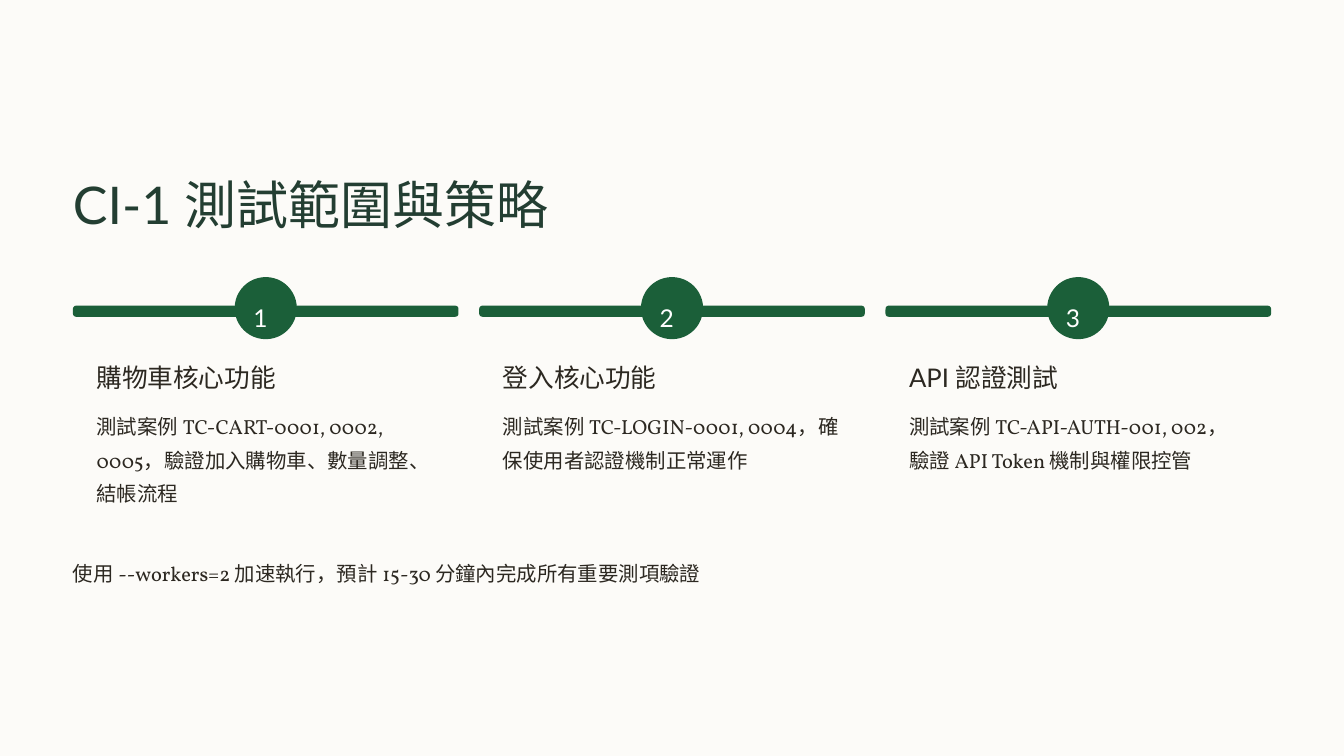
"""Build a slide that shows the CI-1 test scope as three numbered steps."""
import pptx
import pptx.dml.color
import pptx.enum.shapes
import pptx.enum.text
import pptx.util

Pt = pptx.util.Pt
RGBColor = pptx.dml.color.RGBColor
SHAPE = pptx.enum.shapes.MSO_SHAPE
TEXT = pptx.enum.text

CREAM = RGBColor(0xFC, 0xFB, 0xF8)
GREEN = RGBColor(0x1B, 0x5F, 0x39)
PINE = RGBColor(0x23, 0x3E, 0x32)
INK = RGBColor(0x2C, 0x28, 0x21)
WHITE = RGBColor(0xFF, 0xFF, 0xFF)

LEFT = 62.5
WIDTH = 330.5
PITCH = 348.25
INSET = 20.25
DOT = 53.25

STEPS = [
    ("購物車核心功能",
     "測試案例 TC-CART-0001, 0002, 0005，驗證加入購物車、數量調整、結帳流程"),
    ("登入核心功能",
     "測試案例 TC-LOGIN-0001, 0004，確保使用者認證機制正常運作"),
    ("API 認證測試",
     "測試案例 TC-API-AUTH-001, 002，驗證 API Token 機制與權限控管"),
]
NOTE = "使用 --workers=2 加速執行，預計 15-30 分鐘內完成所有重要測項驗證"


def place(shape, x, y, width, height):
    shape.left, shape.top = Pt(x), Pt(y)
    shape.width, shape.height = Pt(width), Pt(height)


def write(shape, text, size, lead, color, font="Lato"):
    frame = shape.text_frame
    frame.text = text
    frame.word_wrap = True
    frame.auto_size = TEXT.MSO_AUTO_SIZE.NONE
    frame.vertical_anchor = TEXT.MSO_ANCHOR.TOP
    frame.margin_left = frame.margin_right = 0
    frame.margin_top = frame.margin_bottom = 0
    line = frame.paragraphs[0]
    line.alignment = TEXT.PP_ALIGN.LEFT
    line.line_spacing = Pt(lead)
    style = line.runs[0].font
    style.name = font
    style.size = Pt(size)
    style.color.rgb = color


def add_text(slide, box, *style):
    write(slide.shapes.add_textbox(*map(Pt, box)), *style)


def add_solid(slide, kind, *box):
    shape = slide.shapes.add_shape(kind, *map(Pt, box))
    shape.shadow.inherit = False
    shape.fill.solid()
    shape.fill.fore_color.rgb = GREEN
    shape.line.fill.background()
    return shape


def add_step(slide, index, head, body):
    x = LEFT + index * PITCH
    dot = x + (WIDTH - DOT) / 2
    bar = add_solid(slide, SHAPE.ROUNDED_RECTANGLE, x, 262, WIDTH, 9.5)
    bar.adjustments[0] = 0.28
    add_solid(slide, SHAPE.OVAL, dot, 237.5, DOT, DOT)
    add_text(slide, (dot + 16, 250.5, 21.5, 26.5),
             str(index + 1), 21, 34, WHITE)
    add_text(slide, (x + INSET, 309, 223, 28), head, 22, 27.5, INK)
    add_text(slide, (x + INSET, 347.75, 290, 85.5),
             body, 17.5, 28.5, INK, "Vollkorn")


def main():
    deck = pptx.Presentation()
    deck.slide_width, deck.slide_height = Pt(1152), Pt(648)
    slide = deck.slides.add_slide(deck.slide_layouts[5])
    slide.background.fill.solid()
    slide.background.fill.fore_color.rgb = CREAM

    title = slide.shapes.title
    place(title, LEFT, 146, 446.5, 56)
    write(title, "CI-1 測試範圍與策略", 44.5, 55.5, PINE)

    for index, (head, body) in enumerate(STEPS):
        add_step(slide, index, head, body)
    add_text(slide, (LEFT, 473.75, 1027, 28.5),
             NOTE, 17.5, 28.5, INK, "Vollkorn")
    deck.save("out.pptx")


if __name__ == "__main__":
    main()
